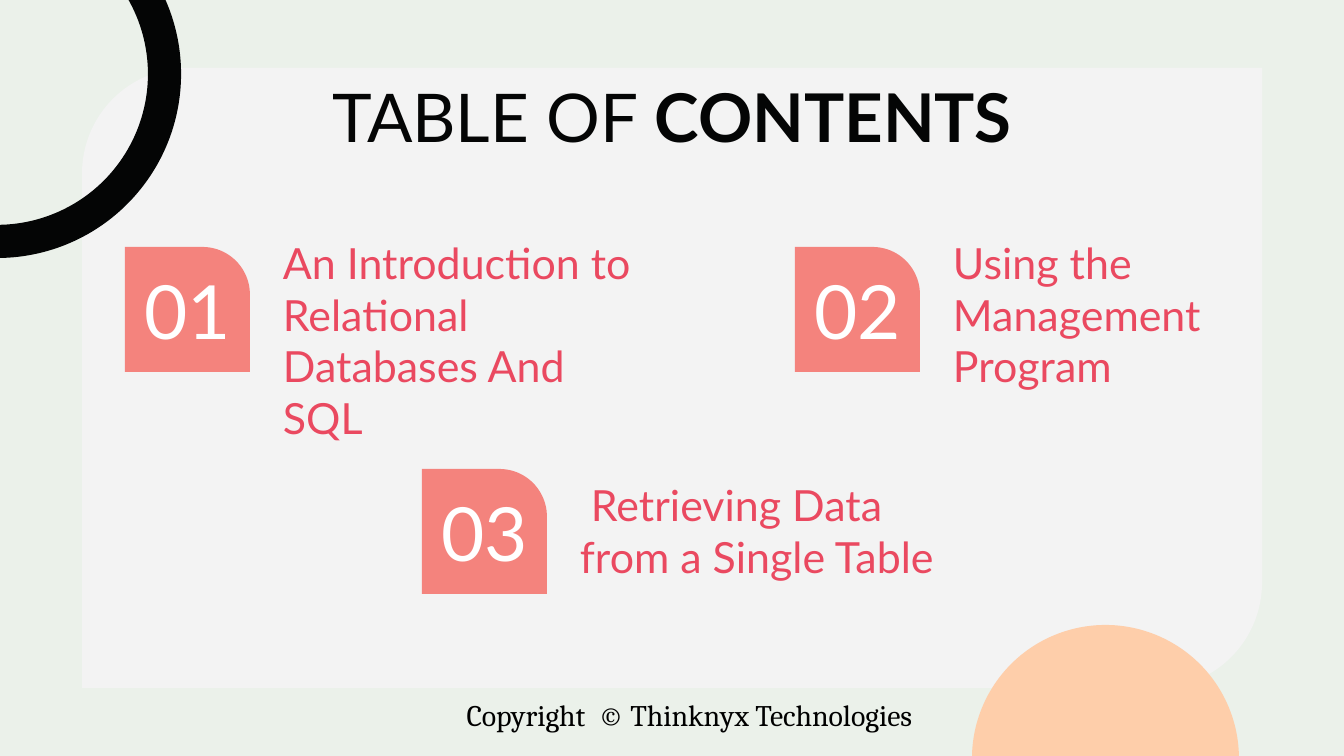
from dataclasses import dataclass

from pptx import Presentation
from pptx.dml.color import RGBColor
from pptx.enum.shapes import MSO_SHAPE
from pptx.enum.text import MSO_ANCHOR, PP_ALIGN
from pptx.util import Emu, Pt

PANEL = MSO_SHAPE.ROUND_2_DIAG_RECTANGLE
RING = MSO_SHAPE.BLOCK_ARC
DISC = MSO_SHAPE.OVAL
TILE = MSO_SHAPE.ROUND_1_RECTANGLE
TOP, MIDDLE = MSO_ANCHOR.TOP, MSO_ANCHOR.MIDDLE
LEFT, CENTER = PP_ALIGN.LEFT, PP_ALIGN.CENTER

SCALE = 914400 / 134.4  # EMU in one px


@dataclass(frozen=True)
class Theme:
    back: str = "EBF1EA"
    panel: str = "F3F3F3"
    ink: str = "040505"
    peach: str = "FECEAA"
    coral: str = "F4837D"
    rose: str = "EA4960"
    white: str = "FFFFFF"
    black: str = "000000"
    sans: str = "Lato"
    serif: str = "Cambria"
    title: int = 36
    number: int = 40
    label: int = 23
    foot: int = 16


THEME = Theme()

# Number, label, tile left, tile top, label offset from tile top
TOPICS = [
    ("01", "An Introduction to Relational Databases And SQL", 125, 247, -10),
    ("02", "Using the Management Program", 795, 247, -10),
    ("03", " Retrieving Data from a Single Table", 422, 469, 10),
]
SIDE = 125


def px(count):
    return Emu(round(count * SCALE))


def add_form(slide, kind, box, color, adjust=(), turn=0):
    form = slide.shapes.add_shape(kind, *map(px, box))
    form.shadow.inherit = False
    form.fill.solid()
    form.fill.fore_color.rgb = RGBColor.from_string(color)
    form.line.fill.background()
    form.rotation = turn
    for i, value in enumerate(adjust):
        form.adjustments[i] = value


def add_text(slide, box, runs, size, color, font=THEME.sans,
             align=LEFT, anchor=TOP, wrap=True, spacing=None):
    """Place one paragraph; runs are (text, bold) pairs."""
    frame = slide.shapes.add_textbox(*map(px, box)).text_frame
    frame.word_wrap = wrap
    frame.vertical_anchor = anchor
    frame.margin_left = frame.margin_right = 0
    frame.margin_top = frame.margin_bottom = 0
    para = frame.paragraphs[0]
    para.alignment = align
    if spacing:
        para.line_spacing = spacing
    for text, bold in runs:
        run = para.add_run()
        run.text = text
        run.font.name = font
        run.font.size = Pt(size)
        run.font.bold = bold
        run.font.color.rgb = RGBColor.from_string(color)


def add_topic(slide, number, label, left, top, shift):
    add_form(slide, TILE, (left, top, SIDE, SIDE), THEME.coral, [0.38])
    add_text(slide, (left + 16, top, SIDE - 32, SIDE), [(number, False)],
             THEME.number, THEME.white, align=CENTER, anchor=MIDDLE)
    add_text(slide, (left + 158, top + shift, 372, 50), [(label, False)],
             THEME.label, THEME.rose)


def main():
    deck = Presentation()
    deck.slide_width, deck.slide_height = px(1344), px(756)
    slide = deck.slides.add_slide(deck.slide_layouts[6])
    slide.background.fill.solid()
    slide.background.fill.fore_color.rgb = RGBColor.from_string(THEME.back)

    # Footer
    add_text(slide, (422, 697, 535, 37),
             [("Copyright  © Thinknyx Technologies", False)],
             THEME.foot, THEME.black, THEME.serif, CENTER, wrap=False)

    # Backdrop
    add_form(slide, PANEL, (82, 68, 1180, 620), THEME.panel, [0.17, 0])
    add_form(slide, RING, (-187, -110, 368, 368), THEME.ink,
             [108, 0.44, 0.09], turn=90)
    add_form(slide, DISC, (972, 625, 267, 267), THEME.peach)

    # Heading
    add_text(slide, (105, 91, 1134, 63),
             [("TABLE OF", False), (" CONTENTS", True)],
             THEME.title, THEME.ink, align=CENTER, spacing=0.8)

    # Topics
    for topic in TOPICS:
        add_topic(slide, *topic)

    deck.save("out.pptx")


if __name__ == "__main__":
    main()
